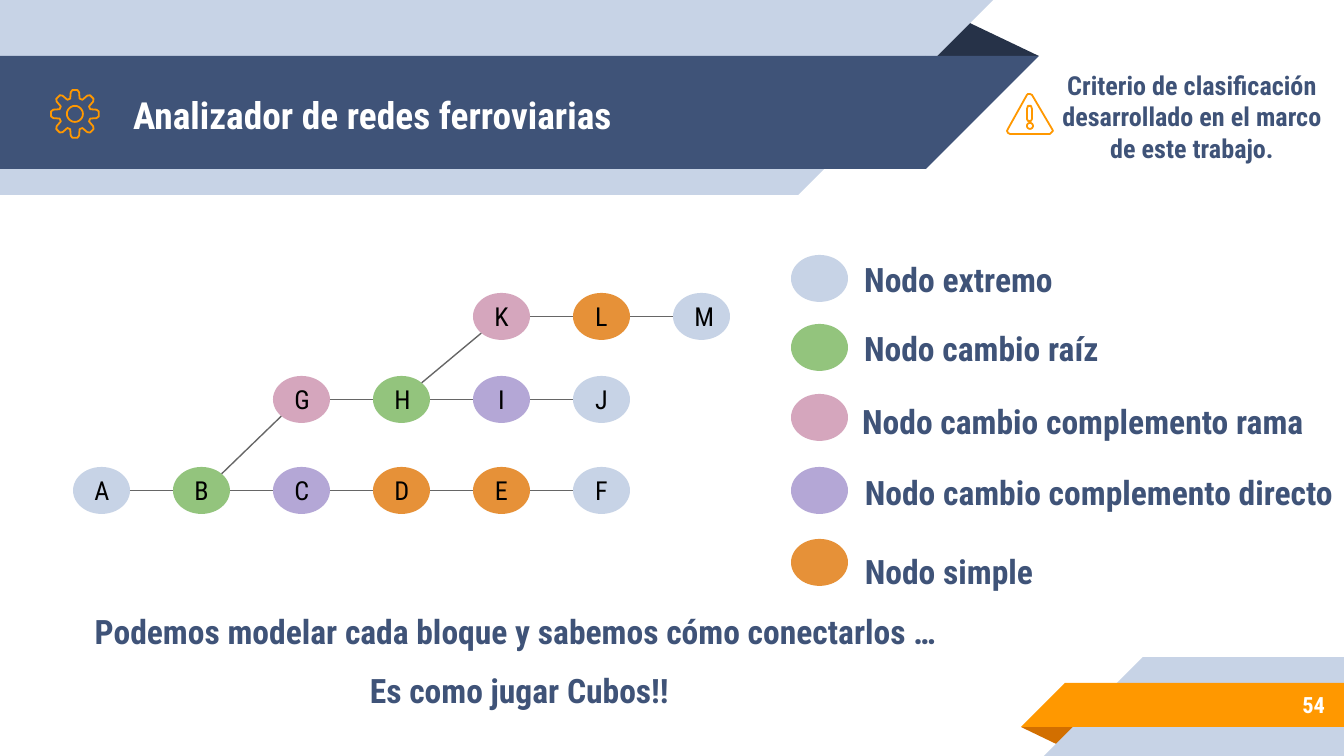
from dataclasses import dataclass
from math import cos, radians, sin

from lxml import etree
from pptx import Presentation
from pptx import util as u
from pptx.dml.color import RGBColor
from pptx.enum import shapes, text
from pptx.oxml.ns import qn


@dataclass(frozen=True)
class Theme:
    font: str = "Roboto Condensed"
    head: int = 20
    body: int = 18
    note: int = 14
    page: int = 12
    navy: str = "3F5378"
    dark: str = "263248"
    pale: str = "C7D3E6"
    gold: str = "FF9800"
    rust: str = "D26F00"
    green: str = "93C47D"
    pink: str = "D5A6BD"
    lilac: str = "B4A7D6"
    amber: str = "E69138"
    gray: str = "666666"
    white: str = "FFFFFF"
    black: str = "000000"


T = Theme()
PX = 914400 / 134.4
KIND = shapes.MSO_SHAPE
SIDE = text.PP_ALIGN

deck = Presentation()
deck.slide_width, deck.slide_height = round(1344 * PX), round(756 * PX)
slide = deck.slides.add_slide(deck.slide_layouts[5])
tree = slide.shapes


def draw(kind, box, fill, turn=0):
    """Add a flat preset shape, or a text box when kind is None."""
    spot = [round(n * PX) for n in box]
    if kind is None:
        return tree.add_textbox(*spot)
    item = tree.add_shape(kind, *spot)
    item.shadow.inherit = False
    item.fill.solid()
    item.fill.fore_color.rgb = RGBColor.from_string(fill)
    item.line.fill.background()
    item.rotation = turn
    return item


def write(item, lines, size, tint, side=SIDE.CENTER, bold=True):
    """Fill the frame with one paragraph per line, centred in height."""
    frame = item.text_frame
    frame.word_wrap = True
    frame.auto_size = text.MSO_AUTO_SIZE.NONE
    frame.vertical_anchor = text.MSO_ANCHOR.MIDDLE
    frame.margin_left = frame.margin_right = round(13 * PX)
    frame.margin_top = frame.margin_bottom = round(13 * PX)
    for i, line in enumerate(lines):
        para = frame.add_paragraph() if i else frame.paragraphs[0]
        para.alignment = side
        para.space_before = u.Pt(10 if i else 0)
        run = para.add_run()
        run.text = line
        run.font.name, run.font.size, run.font.bold = T.font, u.Pt(size), bold
        run.font.color.rgb = RGBColor.from_string(tint)


# Header and footer ribbons
for kind, box, fill, turn in [
    (KIND.ISOSCELES_TRIANGLE, (925, 19, 114, 37), T.dark, 0),
    (KIND.RECTANGLE, (0, 0, 798, 195), T.pale, 0),
    (KIND.RIGHT_TRIANGLE, (798, 0, 195, 195), T.pale, 90),
    (KIND.RECTANGLE, (0, 56, 926, 113), T.navy, 0),
    (KIND.RIGHT_TRIANGLE, (926, 56, 113, 113), T.navy, 90),
    (KIND.ISOSCELES_TRIANGLE, (1021, 727, 58, 19), T.rust, 180),
    (KIND.RECTANGLE, (1143, 657, 201, 99), T.pale, 0),
    (KIND.RIGHT_TRIANGLE, (1044, 657, 99, 99), T.pale, 270),
    (KIND.RECTANGLE, (1065, 683, 279, 44), T.gold, 0),
    (KIND.RIGHT_TRIANGLE, (1021, 683, 44, 44), T.gold, 270),
]:
    item = draw(kind, box, fill, turn)
    if kind == KIND.ISOSCELES_TRIANGLE:
        item.adjustments[0] = 0.32

# The title goes in front of the ribbon
title = tree.title
title._element.getparent().append(title._element)
title.left, title.top = round(120 * PX), round(58 * PX)
title.width, title.height = round(808 * PX), round(113 * PX)
write(title, ["Analizador de redes ferroviarias"], T.head, T.white, SIDE.LEFT)
write(draw(None, (1119, 681, 219, 47), None), ["54"], T.page, T.white, SIDE.RIGHT)

# Gear and warning icons: outer outline first, then the inner ones
tooth = [(16, -17), (22, -11), (24, -6), (24, 6), (22, 11), (16, 17)]
gear = [(75 + r * cos(radians(a + d)), 114 + r * sin(radians(a + d)))
        for a in range(0, 360, 45) for r, d in tooth]
hub, dot = [[(x + r * cos(radians(a)), y + r * sin(radians(a)))
             for a in range(0, 360, 15)] for x, y, r in [(75, 114, 8), (1030, 126, 3)]]
sign = [(1052, 129), (1032, 95), (1030, 94), (1028, 94), (1027, 95), (1008, 129),
        (1007, 131), (1008, 133), (1010, 134), (1050, 134), (1052, 132), (1053, 131)]
bar = [(1027, 109), (1028, 106), (1031, 106), (1032, 109),
       (1032, 119), (1031, 121), (1028, 121), (1027, 119)]
for loops in [(gear, hub), (sign, dot, bar)]:
    pen = None
    for loop in loops:
        pts = [(round(x * PX), round(y * PX)) for x, y in loop]
        if pen:
            pen.move_to(*pts[0])
        else:
            pen = tree.build_freeform(*pts[0])
        pen.add_line_segments(pts[1:], close=True)
    icon = pen.convert_to_shape()
    icon.shadow.inherit = False
    icon.fill.background()
    icon.line.color.rgb = RGBColor.from_string(T.gold)
    icon.line.width = u.Pt(0.96)

# Railway graph: row top, first column, then each node name and colour
WIDE, HIGH = 57, 47
rows = [
    (467, 0, [("A", T.pale), ("B", T.green), ("C", T.lilac),
              ("D", T.amber), ("E", T.amber), ("F", T.pale)]),
    (376, 2, [("G", T.pink), ("H", T.green), ("I", T.lilac), ("J", T.pale)]),
    (293, 4, [("K", T.pink), ("L", T.amber), ("M", T.pale)]),
]
mid = {}
for top, first, nodes in rows:
    for col, (name, fill) in enumerate(nodes, first):
        left = 73 + 100 * col
        mid[name] = left + WIDE / 2, top + HIGH / 2
        node = draw(KIND.OVAL, (left, top, WIDE, HIGH), fill)
        write(node, [name], T.note, T.black, bold=False)

for a, b in "AB BC CD DE EF BG GH HI IJ HK KL LM".split():
    (x1, y1), (x2, y2) = mid[a], mid[b]
    flat = y1 == y2
    dx = WIDE / 2 * (1 if flat else cos(radians(45)))
    dy = 0 if flat else HIGH / 2 * sin(radians(45))
    ends = [round(n * PX) for n in (x1 + dx, y1 - dy, x2 - dx, y2 + dy)]
    track = tree.add_connector(shapes.MSO_CONNECTOR.STRAIGHT, *ends)
    track.line.color.rgb = RGBColor.from_string(T.gray)
    track.line.width = u.Pt(0.75)
    etree.SubElement(track._element.spPr, qn("a:effectLst"))

# Legend: dot top, colour, label box and label
for top, fill, left, high, wide, label in [
    (255, T.pale, 840, 230, 237, "Nodo extremo"),
    (324, T.green, 849, 299, 265, "Nodo cambio raíz"),
    (394, T.pink, 848, 372, 470, "Nodo cambio complemento rama"),
    (467, T.lilac, 848, 443, 502, "Nodo cambio complemento directo"),
    (539, T.amber, 826, 522, 246, "Nodo simple"),
]:
    draw(KIND.OVAL, (791, top, WIDE, HIGH), fill)
    write(draw(None, (left, high, wide, 98), None), [label], T.body, T.navy)

# Closing remark and side note
write(draw(None, (79, 612, 881, 98), None),
      ["Podemos modelar cada bloque y sabemos cómo conectarlos … ",
       "Es como jugar Cubos!!"], T.body, T.navy)
write(draw(None, (1040, 72, 304, 89), None),
      ["Criterio de clasificación desarrollado en el marco de este trabajo."],
      T.note, T.navy)

deck.save("out.pptx")
